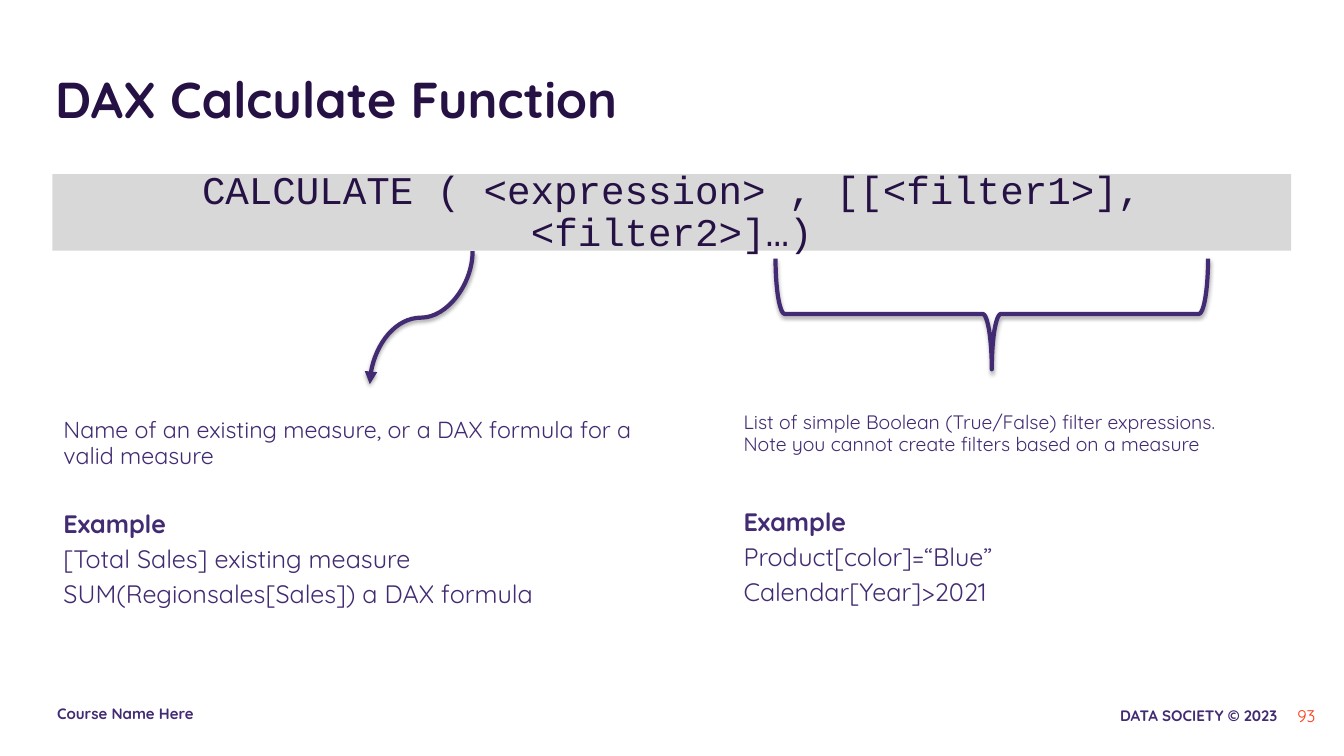
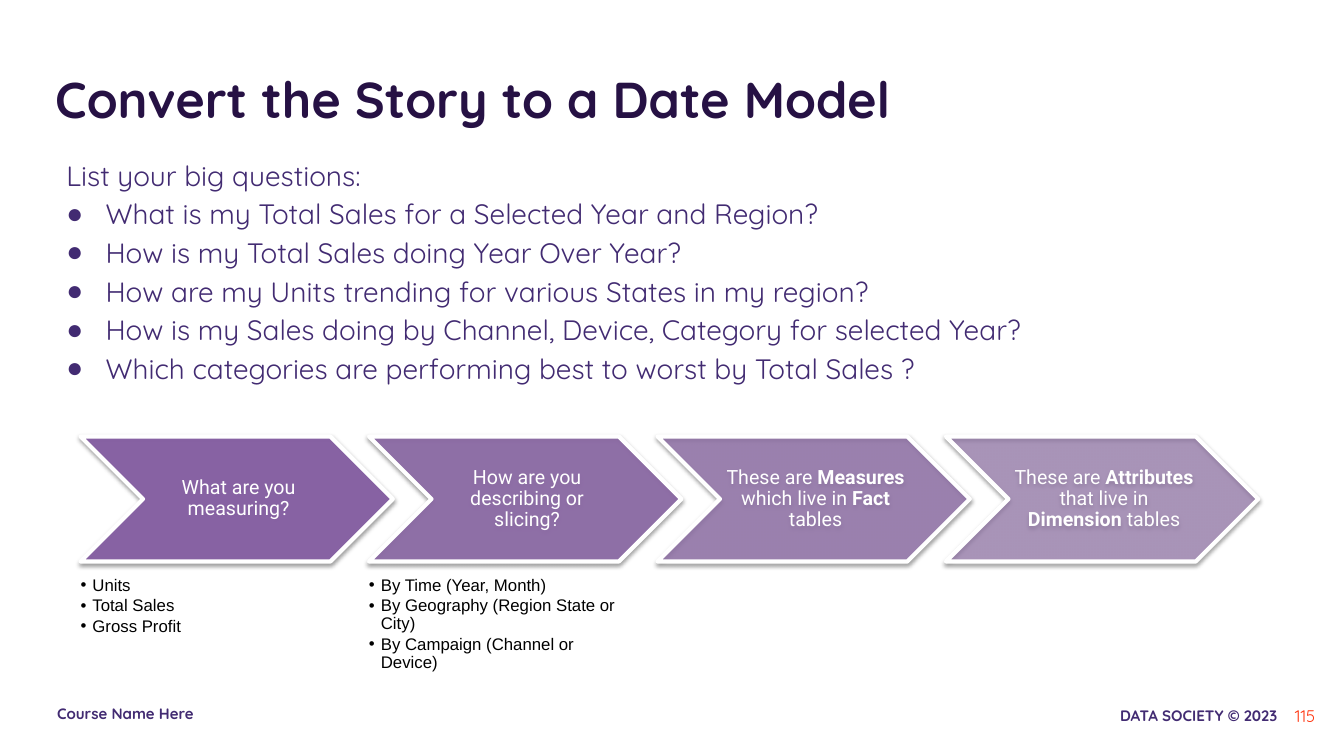
from dataclasses import dataclass, replace
from typing import NamedTuple

from lxml import etree
from pptx import Presentation
from pptx import util as u
from pptx.dml.color import RGBColor
from pptx.enum import shapes, text
from pptx.oxml.ns import qn

Cm, Pt = u.Cm, u.Pt
LEFT, MID, RIGHT = text.PP_ALIGN.LEFT, text.PP_ALIGN.CENTER, text.PP_ALIGN.RIGHT
TOP, CENTER = text.MSO_ANCHOR.TOP, text.MSO_ANCHOR.MIDDLE


@dataclass(frozen=True)
class Theme:
    dark: str = "261144"
    main: str = "422B72"
    page: str = "FF350F"
    bar: str = "D8D8D8"
    step: str = "845BA3"
    white: str = "FFFFFF"
    black: str = "000000"
    face: str = "Quicksand"
    code: str = "Courier New"
    label: str = "Roboto"
    plain: str = "Arial"
    title: float = 36
    big: float = 28
    body: float = 20
    demo: float = 18
    lead: float = 16.6
    hint: float = 13.9
    chip: float = 14
    small: float = 12
    foot: float = 10.8


T = Theme()


@dataclass(frozen=True)
class Style:
    size: float
    color: str = T.main
    face: str = T.face
    bold: bool = False
    align: text.PP_ALIGN = LEFT
    lead: float = 1.0
    gap: float = 0
    left: float = 0
    hang: float = 0
    mark: str = ""


class Box(NamedTuple):
    x: float
    y: float
    w: float
    h: float

    def cm(self) -> list[u.Length]:
        return [Cm(n) for n in self]


class Pad(NamedTuple):
    left: float = 0.25
    top: float = 0.25
    right: float = 0.25
    bottom: float = 0.25


class Note(NamedTuple):
    box: Box
    lines: list[str]
    style: Style


class Step(NamedTuple):
    label: str
    items: list[str]


TITLE = Style(T.title, T.dark, bold=True)
FOOT = Style(T.foot, bold=True)
PAGE = Style(T.small, T.page, align=RIGHT)
CODE = Style(T.big, T.dark, T.code, align=MID, lead=0.9)
LEAD = Style(T.lead, lead=0.95, left=0.28)
HINT = replace(LEAD, size=T.hint)
DEMO = Style(T.demo, lead=1.15, left=0.28)
HEAD = replace(DEMO, size=T.body)
LIST = replace(HEAD, left=1.27, hang=-0.99, mark="●")
CHIP = Style(T.chip, T.white, T.label, align=MID, lead=0.9)
ITEM = Style(T.small, T.black, T.plain, lead=0.9, gap=1.8, left=0.3, hang=-0.3, mark="•")

NOTES = [
    Note(Box(1.07, 10.26, 16.48, 1.93),
         ["Name of an existing measure, or a DAX formula for a valid measure"], LEAD),
    Note(Box(1.07, 12.45, 16.48, 3.2),
         ["*Example*", "[Total Sales] existing measure",
          "SUM(Regionsales[Sales]) a DAX formula"], DEMO),
    Note(Box(18.21, 10.13, 13.59, 1.93),
         ["List of simple Boolean (True/False) filter expressions. "
          "Note you cannot create filters based on a measure"], HINT),
    Note(Box(18.21, 12.4, 16.48, 3.2),
         ["*Example*", "Product[color]=“Blue”", "Calendar[Year]>2021"], DEMO),
]

ASKS = [
    "List your big questions:",
    "What is my Total Sales for a Selected Year and Region?",
    "How is my Total Sales doing Year Over Year?",
    "How are my Units trending for various States in my region?",
    "How is my Sales doing by Channel, Device, Category for selected Year?",
    "Which categories are performing best to worst by Total Sales ?",
]

STEPS = [
    Step("What are you measuring?", ["Units", "Total Sales", "Gross Profit"]),
    Step("How are you describing or slicing?",
         ["By Time (Year, Month)", "By Geography (Region State or City)",
          "By Campaign (Channel or Device)"]),
    Step("These are *Measures* which live in *Fact* tables", []),
    Step("These are *Attributes* that live in *Dimension* tables", []),
]


def rgb(color: str) -> RGBColor:
    return RGBColor.from_string(color)


def node(parent, tag: str, **attrs):
    return etree.SubElement(parent, qn(tag), {k: str(v) for k, v in attrs.items()})


def indent(par, style: Style) -> None:
    props = par._p.get_or_add_pPr()
    props.set("marL", str(Cm(style.left)))
    props.set("indent", str(Cm(style.hang)))
    if style.mark:
        node(node(props, "a:buClr"), "a:srgbClr", val=style.color)
        node(props, "a:buFont", typeface=T.plain)
        node(props, "a:buChar", char=style.mark)
    else:
        node(props, "a:buNone")


def put(shape, lines: list[str], style: Style, pad: Pad = Pad(),
        anchor: text.MSO_ANCHOR = TOP, head: Style | None = None) -> None:
    frame = shape.text_frame
    frame.word_wrap = True
    frame.auto_size = text.MSO_AUTO_SIZE.NONE
    frame.vertical_anchor = anchor
    frame.margin_left, frame.margin_top, frame.margin_right, frame.margin_bottom = map(Cm, pad)
    for row, line in enumerate(lines):
        par = frame.add_paragraph() if row else frame.paragraphs[0]
        look = style if row or not head else head
        indent(par, look)
        par.alignment = look.align
        par.line_spacing = look.lead
        par.space_before = Pt(look.gap if row else 0)
        for part, words in enumerate(line.split("*")):
            if not words:
                continue
            run = par.add_run()
            run.text = words
            run.font.name = look.face
            run.font.size = Pt(look.size)
            run.font.bold = look.bold or part % 2 == 1
            run.font.color.rgb = rgb(look.color)


def label(slide, box: Box, lines: list[str], style: Style, pad: Pad = Pad(),
          anchor: text.MSO_ANCHOR = TOP) -> None:
    put(slide.shapes.add_textbox(*box.cm()), lines, style, pad, anchor)


def stroke(shape, color: str) -> None:
    shape.line.color.rgb = rgb(color)
    shape.line.width = Pt(3)


def shade(shape, alpha: int, drop: float) -> None:
    glow = node(node(shape._element.spPr, "a:effectLst"), "a:outerShdw", blurRad=Pt(3.1),
                dist=Pt(drop), dir=5400000, rotWithShape=0)
    node(node(glow, "a:srgbClr", val=T.black), "a:alpha", val=alpha * 1000)


def place(shape, box: Box) -> None:
    shape.left, shape.top, shape.width, shape.height = box.cm()


def start(deck, layout: int, title: str, page: int):
    slide = deck.slides.add_slide(deck.slide_layouts[layout])
    place(slide.shapes.title, Box(1.14, 1.47, 31.55, 2.13))
    put(slide.shapes.title, [title], TITLE)
    pad = Pad(0.3, 0.3, 0.3, 0.3)
    label(slide, Box(26.85, 17.5, 5.64, 1.07), ["DATA SOCIETY © 2023"],
          replace(FOOT, align=RIGHT), pad)
    label(slide, Box(1.14, 17.45, 6.96, 1.07), ["Course Name Here"], FOOT, pad)
    label(slide, Box(31.37, 17.5, 2.03, 1.07), [str(page)], PAGE, anchor=CENTER)
    return slide


def syntax(deck) -> None:
    slide = start(deck, 5, "DAX Calculate Function", 93)
    bar = slide.shapes.add_shape(shapes.MSO_SHAPE.RECTANGLE, *Box(1.32, 4.39, 31.22, 1.93).cm())
    bar.shadow.inherit = False
    bar.fill.solid()
    bar.fill.fore_color.rgb = rgb(T.bar)
    bar.line.fill.background()
    put(bar, ["CALCULATE ( <expression> , [[<filter1>], <filter2>]…)"], CODE,
        Pad(0.25, 0.13, 0.25, 0.13), CENTER)

    arrow = slide.shapes.add_connector(shapes.MSO_CONNECTOR.CURVE,
                                       Cm(8.94), Cm(6.71), Cm(12.29), Cm(9.3))
    arrow._element.spPr.find(qn("a:xfrm")).set("rot", "5400000")
    stroke(arrow, T.main)
    node(arrow.line._get_or_add_ln(), "a:tailEnd", type="triangle")
    shade(arrow, 35, 1.8)

    brace = slide.shapes.add_shape(shapes.MSO_SHAPE.LEFT_BRACE, *Box(23.6, 2.46, 2.79, 10.9).cm())
    brace.rotation = 270
    brace.fill.background()
    stroke(brace, T.main)
    shade(brace, 35, 1.8)

    for note in NOTES:
        label(slide, *note)


def story(deck) -> None:
    slide = start(deck, 1, "Convert the Story to a Date Model", 115)
    body = slide.placeholders[1]
    place(body, Box(1.14, 3.61, 31.55, 6.58))
    put(body, ASKS, LIST, head=HEAD)

    for rank, step in enumerate(STEPS):
        x = 2.03 + 7.27 * rank
        chip = slide.shapes.add_shape(shapes.MSO_SHAPE.CHEVRON, *Box(x, 11, 7.87, 3.15).cm())
        chip.fill.solid()
        chip.fill.fore_color.rgb = rgb(T.step)
        tint = chip._element.spPr.find(qn("a:solidFill"))[0]
        node(tint, "a:alpha", val=round(90 - 40 * rank / 3) * 1000)
        stroke(chip, T.white)
        shade(chip, 38, 1.6)
        put(chip, [step.label], CHIP, Pad(0.15, 0.05, 0.05, 0.05), CENTER)
        if step.items:
            label(slide, Box(x, 14.53, 6.3, 3.25), step.items, ITEM, Pad(0, 0, 0, 0))


def main() -> None:
    deck = Presentation()
    deck.slide_width, deck.slide_height = Cm(33.87), Cm(19.05)
    syntax(deck)
    story(deck)
    deck.save("out.pptx")


if __name__ == "__main__":
    main()
